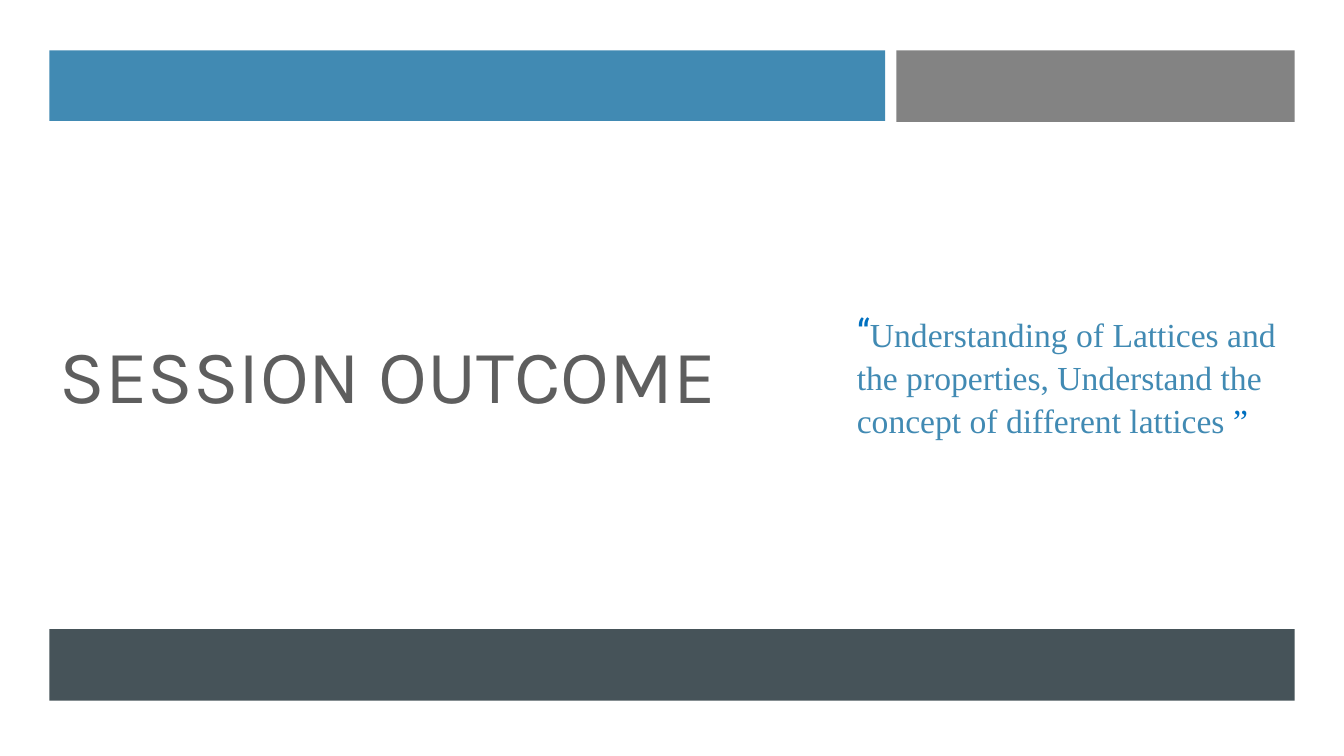
"""Build the session outcome slide with a title, a quotation and colour bars."""
from pptx import Presentation
from pptx.dml.color import RGBColor
from pptx.enum.shapes import MSO_SHAPE
from pptx.enum.text import MSO_ANCHOR, PP_ALIGN
from pptx.util import Inches, Pt

BLUE = RGBColor(0x41, 0x8A, 0xB3)
QUOTE_BLUE = RGBColor(0x00, 0x70, 0xC0)
GRAY = RGBColor(0x83, 0x83, 0x83)
SLATE = RGBColor(0x46, 0x53, 0x59)
TITLE_GRAY = RGBColor(0x5E, 0x5E, 0x5E)
WHITE = RGBColor(0xFF, 0xFF, 0xFF)

LEFT = 0.49
TEXT_TOP, TEXT_HEIGHT = 1.7, 4

presentation = Presentation()
presentation.slide_width = Inches(13.33)
presentation.slide_height = Inches(7.5)
slide = presentation.slides.add_slide(presentation.slide_layouts[6])
slide.background.fill.solid()
slide.background.fill.fore_color.rgb = WHITE


def add_text_paragraph(left, width):
    text_box = slide.shapes.add_textbox(
        Inches(left), Inches(TEXT_TOP), Inches(width), Inches(TEXT_HEIGHT)
    )
    text_box.text_frame.word_wrap = True
    text_box.text_frame.vertical_anchor = MSO_ANCHOR.MIDDLE
    paragraph = text_box.text_frame.paragraphs[0]
    paragraph.alignment = PP_ALIGN.LEFT
    return paragraph


title = add_text_paragraph(LEFT, 7.91)
title.text = "SESSION OUTCOME"
title.font.name = "Karla"
title.font.size = Pt(54)
title.font.color.rgb = TITLE_GRAY

quotation = add_text_paragraph(8.4, 4.44)
quotation.line_spacing = 1.05
quotation.space_after = Pt(6)
outcome = "Understanding of Lattices and the properties, Understand the concept of different lattices "
for text, font_name, size, color in [
    ("“", "Roboto Condensed", 28, QUOTE_BLUE),
    (outcome, "Times New Roman", 24, BLUE),
    ("”", "Times New Roman", 24, QUOTE_BLUE),
]:
    run = quotation.add_run()
    run.text = text
    run.font.name = font_name
    run.font.size = Pt(size)
    run.font.color.rgb = color

for left, top, width, height, color in [
    (LEFT, 0.5, 8.29, 0.7, BLUE),
    (8.89, 0.5, 3.95, 0.71, GRAY),
    (LEFT, 6.24, 12.35, 0.71, SLATE),
]:
    bar = slide.shapes.add_shape(
        MSO_SHAPE.RECTANGLE, Inches(left), Inches(top), Inches(width), Inches(height)
    )
    bar.shadow.inherit = False
    bar.fill.solid()
    bar.fill.fore_color.rgb = color
    bar.line.fill.background()

presentation.save("out.pptx")
